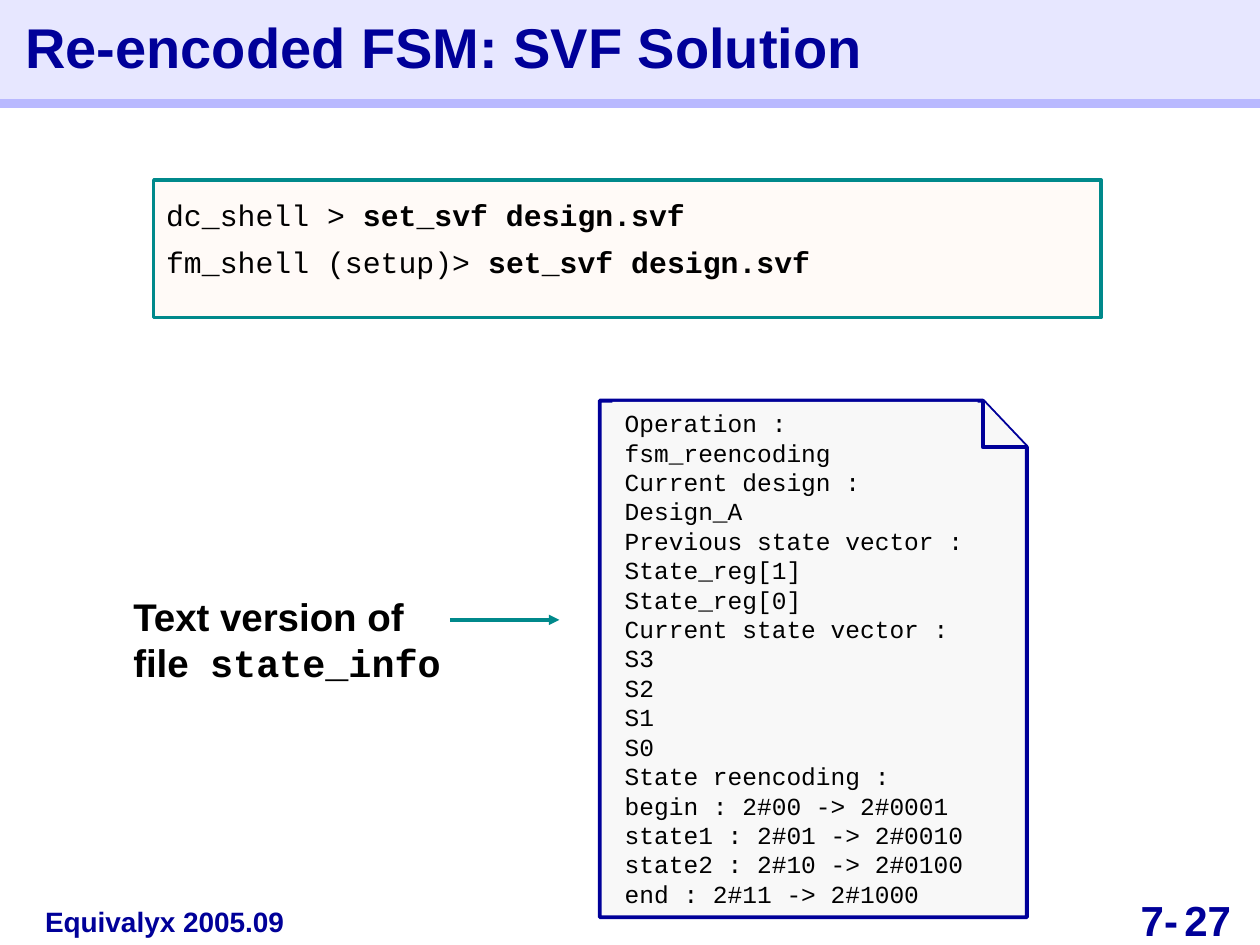
"""Build the slide on the SVF solution for a re-encoded FSM."""
import pptx
import pptx.util
import pptx.dml.color
import pptx.enum.shapes
import pptx.enum.text
import pptx.oxml.ns
import lxml.etree

RGB = pptx.dml.color.RGBColor
Inches = pptx.util.Inches
Pt = pptx.util.Pt
SHAPE = pptx.enum.shapes.MSO_SHAPE
LINE = pptx.enum.shapes.MSO_CONNECTOR.STRAIGHT
ANCHOR = pptx.enum.text.MSO_ANCHOR
ALIGN = pptx.enum.text.PP_ALIGN

NAVY = RGB(0x00, 0x00, 0x99)
BLACK = RGB(0x00, 0x00, 0x00)
TEAL = RGB(0x00, 0x89, 0x8B)
LAVENDER = RGB(0xE7, 0xE7, 0xFF)
RULE = RGB(0xB9, 0xB9, 0xFF)
CREAM = RGB(0xFF, 0xFA, 0xF7)
PAPER = RGB(0xF8, 0xF8, 0xF8)

SANS, MONO = "Arial", "Courier New"
HEADING = dict(name=SANS, bold=True, color=NAVY)
LABEL = dict(name=SANS, size=Pt(22), bold=True, color=BLACK)
CODE = dict(name=MONO, size=Pt(17), bold=False, color=BLACK)
LISTING = dict(CODE, size=Pt(14))
PADDING = (0.1, 0.05)

TITLE = "Re-encoded FSM: SVF Solution"
COMMANDS = [
    [(prompt, {}), ("set_svf design.svf", dict(bold=True))]
    for prompt in ("dc_shell > ", "fm_shell (setup)> ")
]
CAPTION = [
    [("Text version of", {})],
    [("file  ", {}), ("state_info", dict(name=MONO))],
]
STATE_INFO = [
    "Operation : fsm_reencoding",
    "Current design : Design_A",
    "Previous state vector :",
    "State_reg[1]",
    "State_reg[0]",
    "Current state vector :",
    "S3",
    "S2",
    "S1",
    "S0",
    "State reencoding :",
    "begin : 2#00 -> 2#0001",
    "state1 : 2#01 -> 2#0010",
    "state2 : 2#10 -> 2#0100",
    "end : 2#11 -> 2#1000",
]
FOOTER, CHAPTER, PAGE = "Equivalyx 2005.09", "7-", "27"

PAGE_LEFT, PAGE_TOP, PAGE_RIGHT, PAGE_BOTTOM = 4.76, 3.18, 8.15, 7.28
FOLD_X, FOLD_Y = 7.8, 3.55


def plain(lines):
    return [[(line, {})] for line in lines]


def style(shape, fill, line=None, width=2):
    shape.shadow.inherit = False
    shape.fill.solid()
    shape.fill.fore_color.rgb = fill
    if line is None:
        shape.line.fill.background()
    else:
        shape.line.color.rgb = line
        shape.line.width = Pt(width)


def write(shape, paragraphs, base, padding=PADDING, wrap=True,
          anchor=ANCHOR.TOP, align=ALIGN.LEFT, spacing=None):
    tf = shape.text_frame
    tf.margin_left = tf.margin_right = Inches(padding[0])
    tf.margin_top = tf.margin_bottom = Inches(padding[1])
    tf.word_wrap = wrap
    tf.vertical_anchor = anchor
    for i, runs in enumerate(paragraphs):
        p = tf.add_paragraph() if i else tf.paragraphs[0]
        p.alignment = align
        p.line_spacing = spacing
        for text, changes in runs:
            r = p.add_run()
            r.text = text
            for key, value in {**base, **changes}.items():
                if key == "color":
                    r.font.color.rgb = value
                else:
                    setattr(r.font, key, value)


def add_text(s, box, paragraphs, base, **options):
    shape = s.shapes.add_textbox(*map(Inches, box))
    write(shape, paragraphs, base, **options)


def add_box(s, box, fill, line=None):
    shape = s.shapes.add_shape(SHAPE.RECTANGLE, *map(Inches, box))
    style(shape, fill, line)
    return shape


def add_outline(s, points, close):
    start, *rest = [(Inches(x), Inches(y)) for x, y in points]
    builder = s.shapes.build_freeform(*start)
    builder.add_line_segments(rest, close=close)
    style(builder.convert_to_shape(), PAPER, NAVY, 2.25)


def add_line(s, start, end, color, width, arrow=False):
    line = s.shapes.add_connector(LINE, *map(Inches, start + end))
    line.line.color.rgb = color
    line.line.width = Pt(width)
    qn = pptx.oxml.ns.qn
    if arrow:
        ln = line.line._get_or_add_ln()
        lxml.etree.SubElement(ln, qn("a:tailEnd"), type="triangle")
    sp_pr = line._element.spPr
    lxml.etree.SubElement(sp_pr, qn("a:effectLst"))


def main():
    prs = pptx.Presentation()
    prs.slide_width, prs.slide_height = Inches(10), Inches(7.5)
    s = prs.slides.add_slide(prs.slide_layouts[5])

    add_line(s, (0, 0.82), (10, 0.82), RULE, 5)
    title = s.shapes.title
    title.left, title.top, title.width, title.height = map(Inches, (0, 0, 10, 0.8))
    title.fill.solid()
    title.fill.fore_color.rgb = LAVENDER
    write(title, plain([TITLE]), dict(HEADING, size=Pt(32)), padding=(0.2, 0),
          anchor=ANCHOR.MIDDLE, spacing=0.88)

    commands = add_box(s, (1.22, 1.43, 7.52, 1.09), CREAM, TEAL)
    write(commands, COMMANDS, CODE, spacing=1.3)

    add_text(s, (0.96, 4.66, 2.64, 0.83), CAPTION, LABEL, wrap=False)
    add_line(s, (3.57, 4.92), (4.44, 4.92), TEAL, 2, arrow=True)

    add_outline(s, [(PAGE_LEFT, PAGE_TOP), (FOLD_X, PAGE_TOP), (PAGE_RIGHT, FOLD_Y),
                    (PAGE_RIGHT, PAGE_BOTTOM), (PAGE_LEFT, PAGE_BOTTOM)], True)
    add_outline(s, [(FOLD_X, PAGE_TOP), (FOLD_X, FOLD_Y), (PAGE_RIGHT, FOLD_Y)], False)
    listing = add_box(s, (4.86, 3.19, 2.9, 4.07), PAPER)
    write(listing, plain(STATE_INFO), LISTING)

    add_text(s, (0.26, 7.13, 2.5, 0.37), plain([FOOTER]),
             dict(HEADING, size=Pt(16)))
    number = dict(HEADING, size=Pt(24))
    add_text(s, (8.52, 7.1, 0.83, 0.4), plain([CHAPTER]), number,
             padding=(0, 0), align=ALIGN.RIGHT)
    add_text(s, (9.4, 7.1, 0.59, 0.4), plain([PAGE]), number,
             padding=(0, 0), wrap=False)

    prs.save("out.pptx")


if __name__ == "__main__":
    main()
